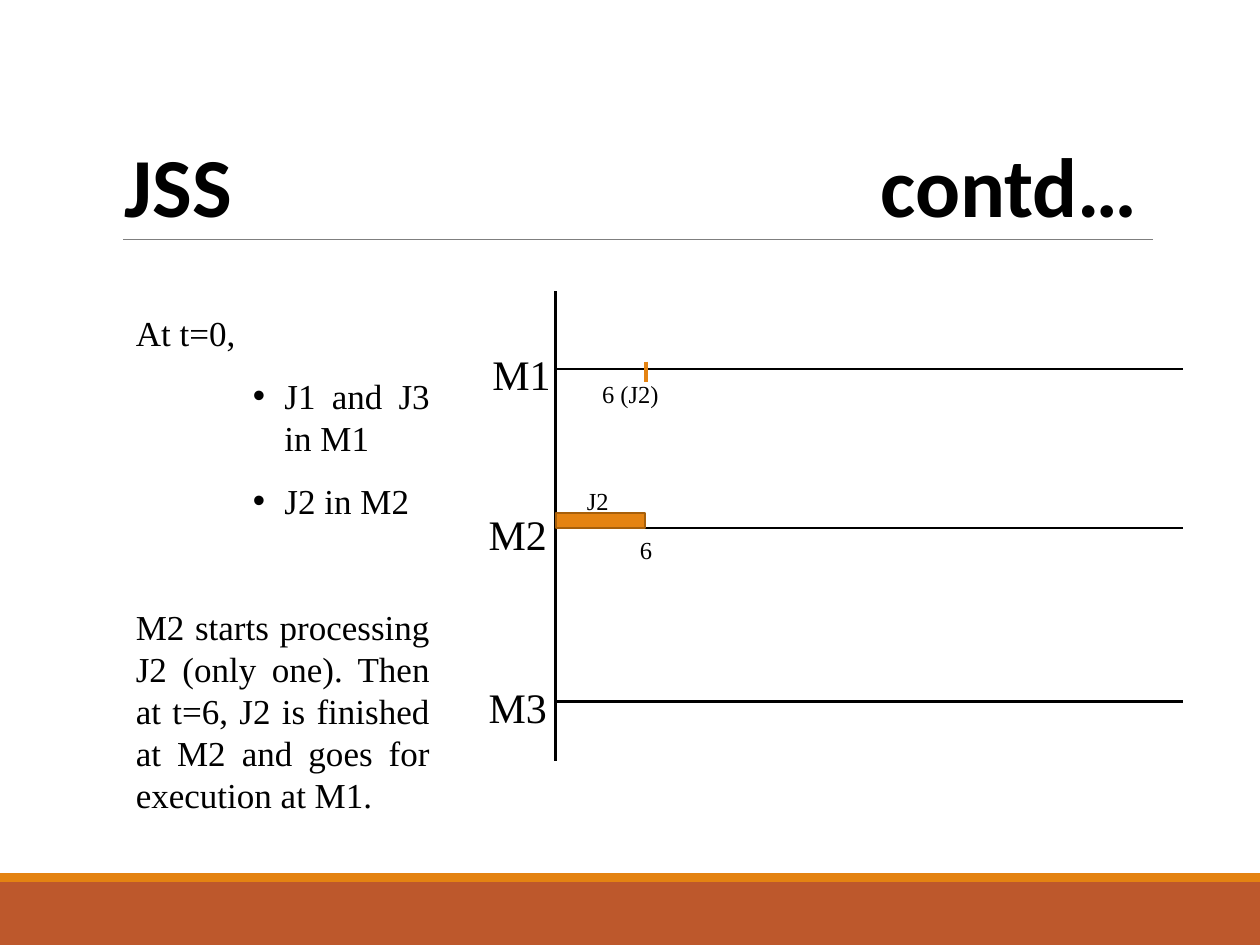
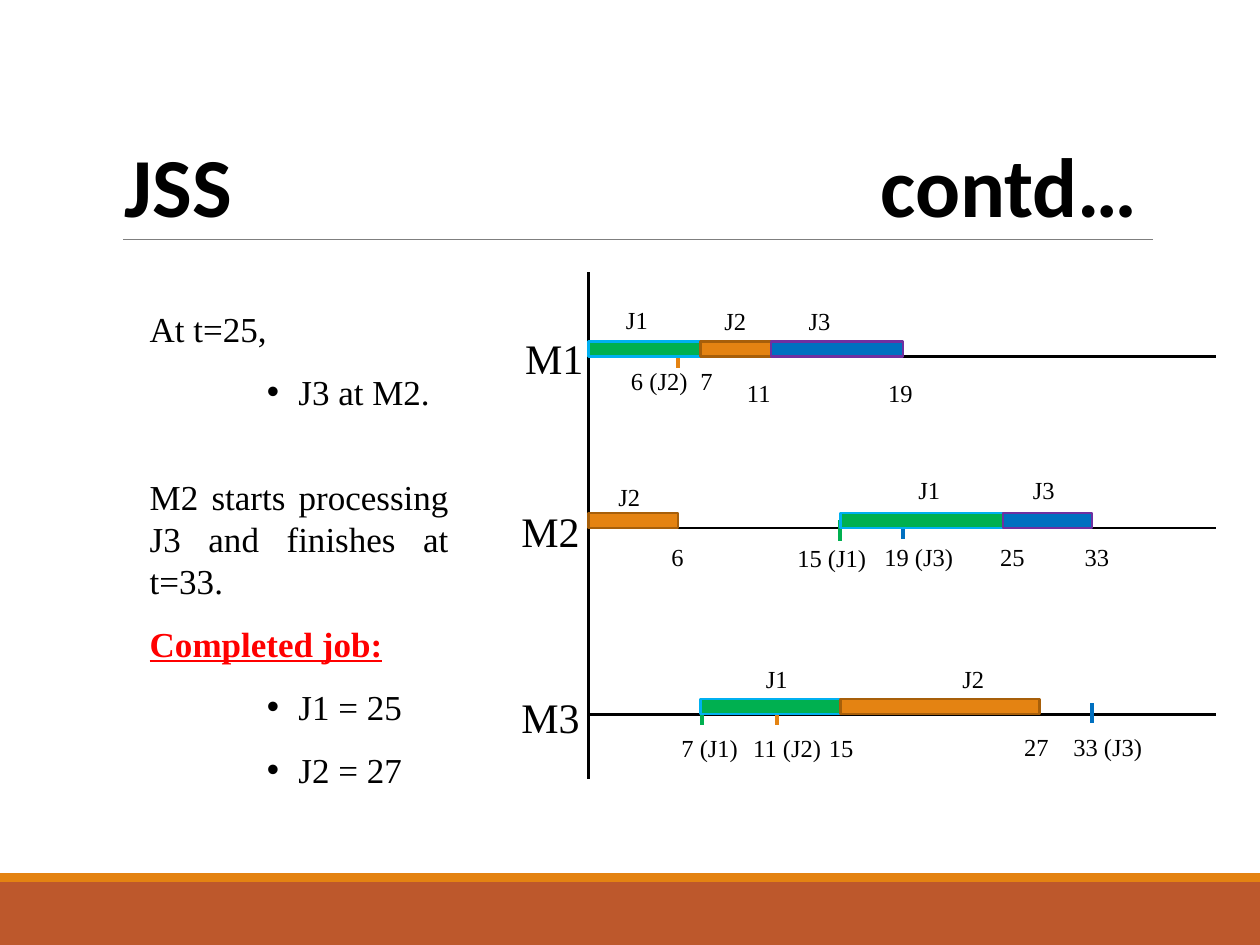
"""Build two job shop scheduling slides with machine timelines."""
from dataclasses import dataclass

from lxml.etree import SubElement
from pptx import Presentation
from pptx.dml.color import RGBColor
from pptx.enum.shapes import MSO_CONNECTOR, MSO_SHAPE
from pptx.enum.text import MSO_ANCHOR, PP_ALIGN
from pptx.oxml.ns import qn
from pptx.util import Inches, Pt


@dataclass(frozen=True)
class Theme:
    ink: str = "000000"
    rule: str = "7F7F7F"
    band: str = "BD582C"
    stripe: str = "E48312"
    alert: str = "FF0000"
    heading_font: str = "Calibri"
    body_font: str = "Times New Roman"
    title: int = 48
    machine: int = 24
    body: int = 20
    label: int = 14


THEME = Theme()
JOB_COLORS = {
    "J1": ("00B050", "00B0F0"),
    "J2": (THEME.stripe, "A75F0A"),
    "J3": ("0070C0", "7030A0"),
}
TIME_OFFSET = {0: 0, 6: 0.71, 7: 0.89, 11: 1.45, 15: 2, 19: 2.5, 25: 3.29, 27: 3.58, 33: 4}
LABEL_WIDTH = {1: 0.33, 2: 0.4, 6: 0.7, 7: 0.8}
AXIS_LENGTH = 4.98
BAR_HEIGHT = 0.12

SCHEDULES = [
    {
        "notes_box": (0.98, 2.42, 2.53, 4.44),
        "notes": [
            ("At t=0,", "plain", 0),
            ("J1 and J3 in M1", "bullet", 0),
            ("J2 in M2", "bullet", 0),
            ("M2 starts processing J2 (only one). Then at t=6, J2 is finished "
             "at M2 and goes for execution at M1.", "plain", 36),
        ],
        "origin": 4.41,
        "span": (2.31, 6.04),
        "machines": {"M1": (2.93, 2.7), "M2": (4.19, 3.97), "M3": (5.57, 5.34)},
        "arrivals": [("J2", 0.72, 2.87)],
        "jobs": [("M2", "J2", 0, 6)],
        "labels": [("6", 4.98, 4.19), ("6 (J2)", 4.68, 2.95), ("J2", 4.56, 3.8)],
    },
    {
        "notes_box": (1.09, 2.39, 2.57, 3.94),
        "notes": [
            ("At t=25,", "plain", 0),
            ("J3 at M2.", "bullet", 0),
            ("M2 starts processing J3 and finishes at t=33.", "plain", 24),
            ("Completed job:", "alert", 0),
            ("J1 = 25", "bullet", 0),
            ("J2 = 27", "bullet", 0),
        ],
        "origin": 4.67,
        "span": (2.16, 6.18),
        "machines": {"M1": (2.83, 2.57), "M2": (4.19, 3.95), "M3": (5.67, 5.42)},
        "arrivals": [
            ("J2", 0.71, 2.76),
            ("J1", 2, 4.13), ("J3", 2.5, 4.12),
            ("J1", 0.9, 5.59), ("J2", 1.5, 5.59), ("J3", 4, 5.58),
        ],
        "jobs": [
            ("M1", "J1", 0, 7), ("M1", "J2", 7, 11), ("M1", "J3", 11, 19),
            ("M2", "J2", 0, 6), ("M2", "J1", 15, 25), ("M2", "J3", 25, 33),
            ("M3", "J1", 7, 15), ("M3", "J2", 15, 27),
        ],
        "labels": [
            ("J1", 4.87, 2.36), ("J2", 5.65, 2.37), ("J3", 6.32, 2.37),
            ("6 (J2)", 4.91, 2.85), ("7", 5.46, 2.85), ("11", 5.83, 2.94), ("19", 6.95, 2.94),
            ("J2", 4.81, 3.77), ("J1", 7.19, 3.71), ("J3", 8.1, 3.71),
            ("6", 5.23, 4.24), ("15 (J1)", 6.23, 4.25), ("19 (J3)", 6.92, 4.24),
            ("25", 7.84, 4.24), ("33", 8.51, 4.24),
            ("J1", 5.98, 5.21), ("J2", 7.54, 5.21),
            ("7 (J1)", 5.31, 5.76), ("11 (J2)", 5.88, 5.76), ("15", 6.48, 5.76),
            ("27", 8.03, 5.75), ("33 (J3)", 8.42, 5.75),
        ],
    },
]


def draw_line(slide, start, end, color, weight):
    line = slide.shapes.add_connector(
        MSO_CONNECTOR.STRAIGHT, *(Inches(value) for value in start + end))
    line.line.color.rgb = RGBColor.from_string(color)
    line.line.width = Pt(weight)
    SubElement(line.element.spPr, qn("a:effectLst"))


def add_label(slide, text, left, top, width, size, wrap=False):
    frame = slide.shapes.add_textbox(
        Inches(left), Inches(top), Inches(width), Inches(size / 60 + 0.1)).text_frame
    frame.word_wrap = wrap
    paragraph = frame.paragraphs[0]
    paragraph.line_spacing = Pt(size * 1.25)
    run = paragraph.add_run()
    run.text = text
    run.font.name = THEME.body_font
    run.font.size = Pt(size)
    run.font.color.rgb = RGBColor.from_string(THEME.ink)


deck = Presentation()
deck.slide_width = Inches(10)
deck.slide_height = Inches(7.5)

for schedule in SCHEDULES:
    slide = deck.slides.add_slide(deck.slide_layouts[6])
    origin = schedule["origin"]

    for top, height, color in [(7, 0.5, THEME.band), (6.93, 0.07, THEME.stripe)]:
        footer = slide.shapes.add_shape(
            MSO_SHAPE.RECTANGLE, 0, Inches(top), deck.slide_width, Inches(height))
        footer.shadow.inherit = False
        footer.fill.solid()
        footer.fill.fore_color.rgb = RGBColor.from_string(color)
        footer.line.fill.background()
    draw_line(slide, (0.98, 1.9), (9.15, 1.9), THEME.rule, 0.5)

    heading = slide.shapes.add_textbox(
        Inches(0.89), Inches(0.32), Inches(8.25), Inches(1.59)).text_frame
    heading.word_wrap = True
    heading.vertical_anchor = MSO_ANCHOR.BOTTOM
    heading_line = heading.paragraphs[0]
    heading_line.line_spacing = 0.85
    stops = SubElement(heading_line._p.get_or_add_pPr(), qn("a:tabLst"))
    SubElement(stops, qn("a:tab"), pos=str(Inches(6)), algn="l")
    heading_run = heading_line.add_run()
    heading_run.text = "JSS\tcontd…"
    heading_run.font.name = THEME.heading_font
    heading_run.font.size = Pt(THEME.title)
    heading_run.font.bold = True
    heading_run.font.color.rgb = RGBColor.from_string(THEME.ink)

    notes = slide.shapes.add_textbox(
        *(Inches(value) for value in schedule["notes_box"])).text_frame
    notes.word_wrap = True
    for index, (text, style, gap) in enumerate(schedule["notes"]):
        note = notes.add_paragraph() if index else notes.paragraphs[0]
        note.alignment = PP_ALIGN.JUSTIFY
        note.line_spacing = Pt(THEME.body * 1.2)
        note.space_after = Pt(12)
        if gap:
            note.space_before = Pt(gap)
        if style == "bullet":
            properties = note._p.get_or_add_pPr()
            properties.set("marL", str(Inches(1.18)))
            properties.set("indent", str(Inches(-0.25)))
            SubElement(properties, qn("a:buFont"), typeface="Arial")
            SubElement(properties, qn("a:buChar"), char="•")
        run = note.add_run()
        run.text = text
        run.font.name = THEME.body_font
        run.font.size = Pt(THEME.body)
        run.font.bold = run.font.underline = style == "alert"
        run.font.color.rgb = RGBColor.from_string(
            THEME.alert if style == "alert" else THEME.ink)

    first, last = schedule["span"]
    draw_line(slide, (origin, first), (origin, last), THEME.ink, 1.5)
    for machine, (axis, name_top) in schedule["machines"].items():
        draw_line(slide, (origin, axis), (origin + AXIS_LENGTH, axis), THEME.ink, 1.5)
        name_left = origin - (0.6 if machine == "M1" else 0.63)
        add_label(slide, machine, name_left, name_top, 0.7, THEME.machine)

    for job, offset, top in schedule["arrivals"]:
        x = origin + offset
        draw_line(slide, (x, top), (x, top + 0.16), JOB_COLORS[job][0], 2.25)

    for machine, job, start, finish in schedule["jobs"]:
        axis = schedule["machines"][machine][0]
        left, right = TIME_OFFSET[start], TIME_OFFSET[finish]
        bar = slide.shapes.add_shape(
            MSO_SHAPE.RECTANGLE, Inches(origin + left), Inches(axis - BAR_HEIGHT),
            Inches(right - left), Inches(BAR_HEIGHT))
        bar.shadow.inherit = False
        fill, outline = JOB_COLORS[job]
        bar.fill.solid()
        bar.fill.fore_color.rgb = RGBColor.from_string(fill)
        bar.line.color.rgb = RGBColor.from_string(outline)
        bar.line.width = Pt(1.25)

    for text, left, top in schedule["labels"]:
        add_label(slide, text, left, top, LABEL_WIDTH[len(text)], THEME.label,
                  wrap=text == "19 (J3)")

deck.save("out.pptx")
